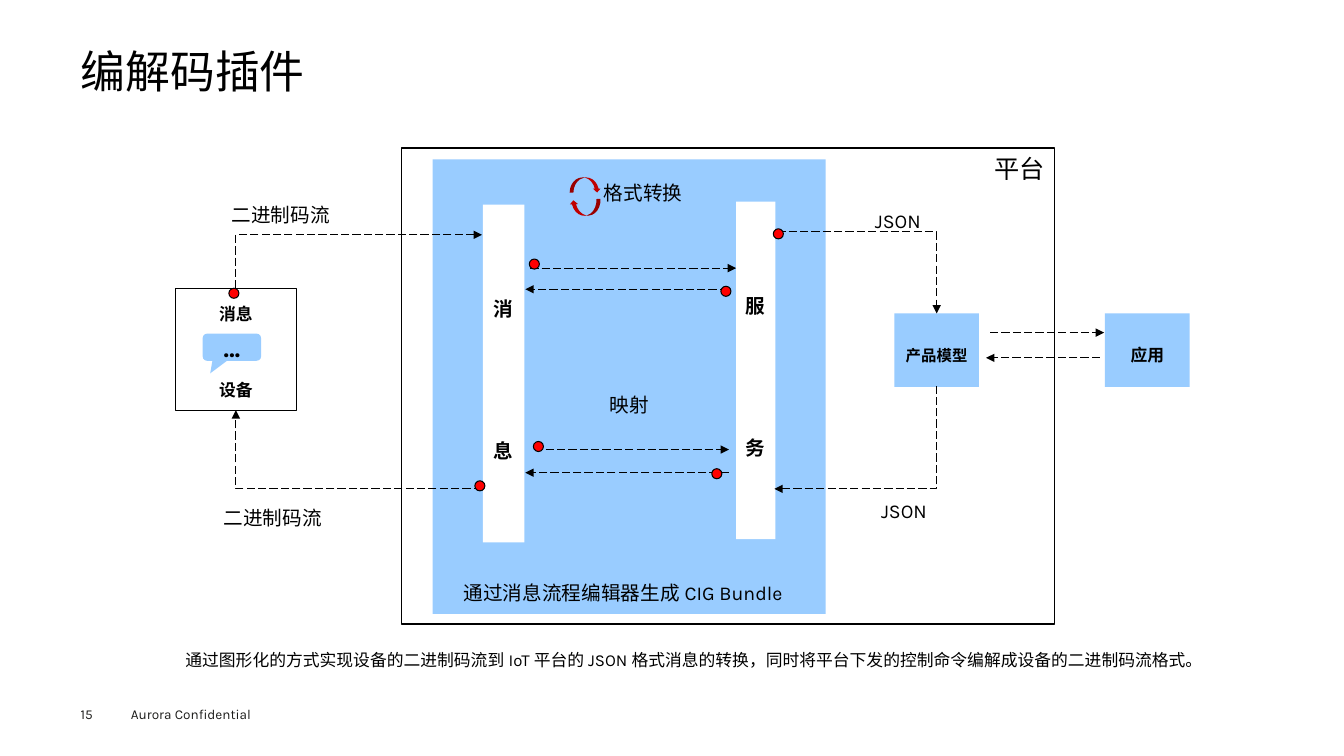
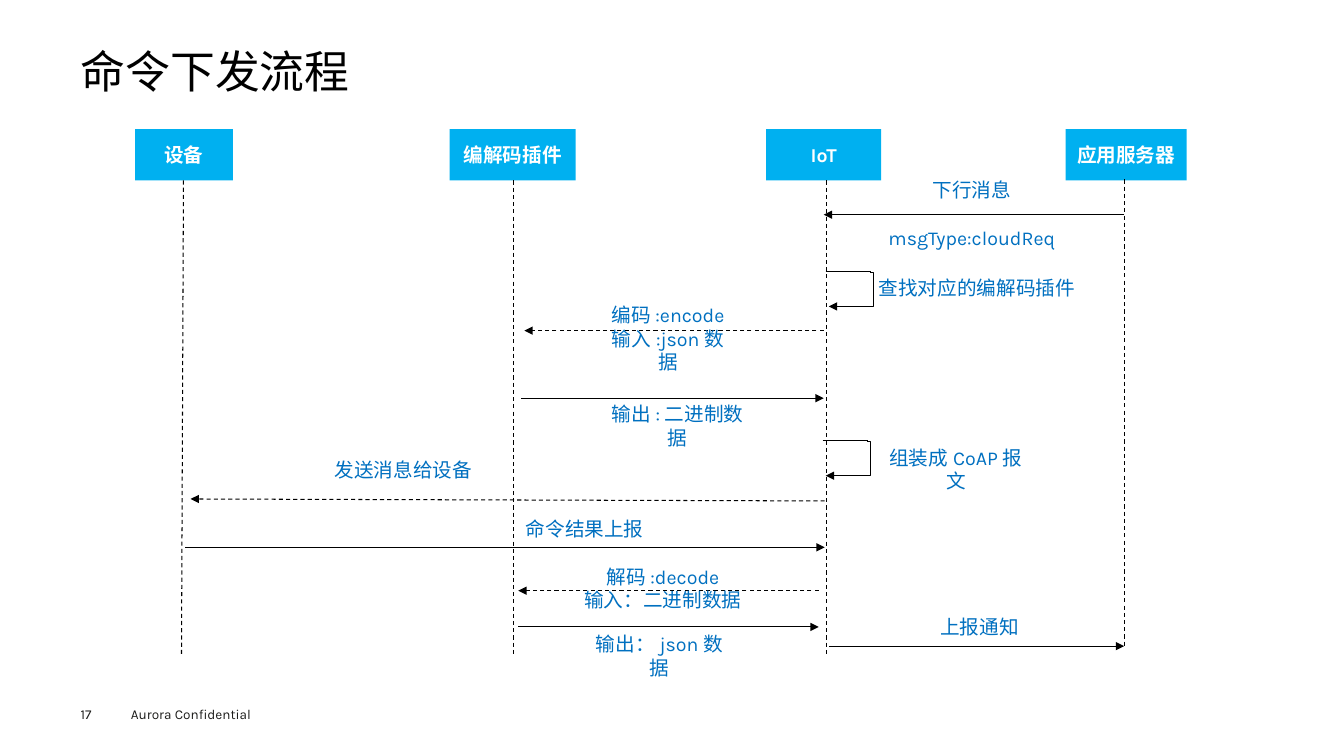
from lxml import etree
from pptx import Presentation
from pptx import util as u
from pptx.dml.color import RGBColor
from pptx.enum import dml, shapes, text
from pptx.oxml import ns

PX = 9144
BLACK = RGBColor(0x00, 0x00, 0x00)
WHITE = RGBColor(0xFF, 0xFF, 0xFF)
FOOTER_INK = RGBColor(0x1D, 0x1D, 0x1B)
PALE_BLUE = RGBColor(0x99, 0xCC, 0xFF)
SKY = RGBColor(0x00, 0xB0, 0xF0)
LABEL_BLUE = RGBColor(0x00, 0x70, 0xC0)
RED = RGBColor(0xFF, 0x00, 0x00)
DARK_RED = RGBColor(0xC0, 0x00, 0x00)

LEFT, CENTER, RIGHT = text.PP_ALIGN.LEFT, text.PP_ALIGN.CENTER, text.PP_ALIGN.RIGHT
TOP, MIDDLE = text.MSO_ANCHOR.TOP, text.MSO_ANCHOR.MIDDLE
RECT = shapes.MSO_SHAPE.RECTANGLE
DASH, LONG_DASH = dml.MSO_LINE.DASH, dml.MSO_LINE.LONG_DASH
NO_INSETS = (0, 0, 0, 0)


class Deck:
    """Holds the shared style and the slide being drawn."""

    FONT = "Karla"
    FOOTER = "Aurora Confidential"

    def __init__(self):
        self.file = Presentation()
        self.file.slide_width = 1333 * PX
        self.file.slide_height = 750 * PX
        self.slide = None

    def page(self, title, number):
        """Starts a slide with its title and footer."""
        self.slide = self.file.slides.add_slide(self.file.slide_layouts[6])
        self.label(80, 49, 1173, 54, [title], size=32, insets=NO_INSETS, spacing=0.9)
        self.label(120, 695, 200, 27, [self.FOOTER], size=9.7, color=FOOTER_INK)
        self.label(80, 700, 40, 16, [number], size=9.7, color=FOOTER_INK, insets=NO_INSETS)

    def fill_text(self, holder, lines, size=14, color=BLACK, bold=False, align=LEFT,
                  anchor=TOP, insets=(10, 5, 10, 5), gap=0, spacing=None):
        """Fills a shape or text box with one paragraph per line."""
        frame = holder.text_frame
        frame.word_wrap = True
        frame.vertical_anchor = anchor
        (frame.margin_left, frame.margin_top,
         frame.margin_right, frame.margin_bottom) = (inset * PX for inset in insets)
        for index, line in enumerate(lines):
            paragraph = frame.add_paragraph() if index else frame.paragraphs[0]
            paragraph.alignment = align
            if spacing:
                paragraph.line_spacing = spacing
            if index and gap:
                paragraph.space_before = u.Pt(gap)
            run = paragraph.add_run()
            run.text = line
            run.font.name = self.FONT
            run.font.size = u.Pt(size)
            run.font.bold = bold
            run.font.color.rgb = color

    def label(self, x, y, w, h, lines, **style):
        """Adds a text box."""
        box = self.slide.shapes.add_textbox(x * PX, y * PX, w * PX, h * PX)
        self.fill_text(box, lines, **style)

    def shape(self, x, y, w, h, fill, preset=RECT, outline=0, lines=(), **style):
        """Adds a filled preset shape, with text if given."""
        body = self.slide.shapes.add_shape(preset, x * PX, y * PX, w * PX, h * PX)
        body.shadow.inherit = False
        body.fill.solid()
        body.fill.fore_color.rgb = fill
        if outline:
            body.line.color.rgb = BLACK
            body.line.width = u.Pt(outline)
        else:
            body.line.fill.background()
        if lines:
            self.fill_text(body, lines, **style)
        return body

    def line(self, start, end, dash=None, arrow="tailEnd", kind=shapes.MSO_CONNECTOR.STRAIGHT):
        """Adds a connector; arrow names the end that has the arrowhead."""
        link = self.slide.shapes.add_connector(kind, *(v * PX for v in (*start, *end)))
        link.line.color.rgb = BLACK
        link.line.width = u.Pt(0.75)
        if dash:
            link.line.dash_style = dash
        properties = link._element.spPr
        if arrow:
            stroke = properties.find(ns.qn("a:ln"))
            etree.SubElement(stroke, ns.qn("a:" + arrow), type="triangle")
        etree.SubElement(properties, ns.qn("a:effectLst"))
        return properties.find(ns.qn("a:prstGeom"))

    def corner(self, start, end, arrow):
        """Adds a dashed connector that runs across, then up or down."""
        geometry = self.line(start, end, LONG_DASH, arrow, shapes.MSO_CONNECTOR.ELBOW)
        geometry.set("prst", "bentConnector2")

    def loop(self, x, y):
        """Adds an arrow that leaves a lifeline and comes back to it."""
        self.line((x, y), (x + 45, y), arrow=None)
        geometry = self.line((x + 44, y + 1), (x + 3, y + 35), kind=shapes.MSO_CONNECTOR.ELBOW)
        guides = geometry.find(ns.qn("a:avLst"))
        etree.SubElement(guides, ns.qn("a:gd"), name="adj1", fmla="val -9200")


def codec_slide(deck):
    """Draws the codec plug-in between device, platform and application."""
    deck.page("编解码插件", "15")
    deck.shape(398, 147, 648, 472, WHITE, outline=1, lines=["平台"], size=18, align=RIGHT)
    deck.shape(174, 286, 120, 121, WHITE, outline=0.75, lines=["消息", "设备"], size=12,
               bold=True, align=CENTER, insets=(0, 15, 0, 0), gap=40)
    bubble = deck.shape(201, 331, 58, 27, PALE_BLUE,
                        shapes.MSO_SHAPE.ROUNDED_RECTANGULAR_CALLOUT, lines=["…"], size=18,
                        bold=True, align=CENTER, anchor=MIDDLE)
    bubble.adjustments[0], bubble.adjustments[1] = -0.37, 0.96

    deck.shape(429, 158, 390, 451, PALE_BLUE)
    deck.label(589, 175, 140, 33, ["格式转换"])
    deck.label(564, 385, 120, 33, ["映射"], align=CENTER)
    deck.label(450, 571, 360, 33, ["通过消息流程编辑器生成CIG Bundle"])
    for y, h, turn in ((176, 15, 0), (198, 16, 177)):
        cycle = deck.shape(565, y, 31, h, DARK_RED, shapes.MSO_SHAPE.CURVED_DOWN_ARROW)
        cycle.rotation = turn
    for x, y, w, word in ((479, 203, 41, "消息"), (730, 200, 39, "服务")):
        deck.shape(x, y, w, 335, WHITE, lines=list(word), bold=True, align=CENTER,
                   insets=(0, 92, 0, 0), gap=84)
    for x, name, size in ((887, "产品模型", 11), (1096, "应用", 12)):
        deck.shape(x, 311, 84, 73, PALE_BLUE, lines=[name], size=size, bold=True,
                   align=CENTER, anchor=MIDDLE, insets=NO_INSETS, spacing=1.5)

    for x_from, x_to, y in ((526, 730, 266), (722, 521, 287), (530, 723, 446),
                            (723, 521, 469), (982, 1095, 330), (1091, 978, 355)):
        deck.line((x_from, y), (x_to, y), LONG_DASH)
    deck.corner((478, 485), (234, 407), "tailEnd")
    deck.corner((478, 233), (234, 286), "headEnd")
    deck.corner((771, 230), (929, 311), "tailEnd")
    deck.corner((768, 485), (929, 383), "headEnd")

    for x, y, stream in ((220, 196, "二进制码流"), (212, 497, "二进制码流"),
                         (858, 202, "JSON"), (864, 490, "JSON")):
        deck.label(x, y, 130, 35, [stream])
    deck.label(174, 640, 1045, 27, [
        "通过图形化的方式实现设备的二进制码流到IoT平台的JSON格式消息的转换，"
        "同时将平台下发的控制命令编解成设备的二进制码流格式。"], size=12)
    for x, y in ((227, 286), (525, 257), (715, 284), (767, 227),
                 (529, 438), (706, 465), (471, 477)):
        deck.shape(x, y, 10, 10, RED, shapes.MSO_SHAPE.OVAL, outline=0.75)


def command_slide(deck):
    """Draws the sequence of a command sent to a device."""
    deck.page("命令下发流程", "17")
    for x, w, actor, top, foot in (
            (134, 97, "设备", (182, 179), (180, 650)),
            (446, 125, "编解码插件", (509, 179), (509, 650)),
            (760, 114, "IoT", (820, 179), (820, 650)),
            (1057, 120, "应用服务器", (1115, 178), (1115, 641))):
        deck.shape(x, 128, w, 51, SKY, lines=[actor], color=WHITE, bold=True,
                   align=CENTER, anchor=MIDDLE, insets=NO_INSETS)
        deck.line(top, foot, DASH, arrow=None)

    for start, end, dash in (
            ((1115, 213), (817, 213), None),
            ((817, 328), (520, 328), DASH),
            ((517, 395), (817, 395), None),
            ((818, 497), (189, 495), DASH),
            ((184, 543), (818, 543), None),
            ((812, 586), (514, 586), DASH),
            ((514, 622), (812, 622), None),
            ((822, 641), (1115, 641), None)):
        deck.line(start, end, dash)
    deck.loop(819, 269)
    deck.loop(816, 437)

    for x, y, w, h, message, gap in (
            (852, 172, 224, 82, ["下行消息", "msgType:cloudReq"], 17),
            (860, 269, 218, 35, ["查找对应的编解码插件"], 0),
            (592, 296, 141, 58, ["编码:encode", "输入:json数据"], 0),
            (590, 394, 164, 35, ["输出:二进制数据"], 0),
            (864, 437, 168, 35, ["组装成CoAP报文"], 0),
            (320, 449, 160, 35, ["发送消息给设备"], 0),
            (510, 508, 140, 35, ["命令结果上报"], 0),
            (568, 555, 179, 58, ["解码:decode", "输入：二进制数据"], 0),
            (573, 622, 162, 35, ["输出：json数据"], 0),
            (921, 605, 101, 35, ["上报通知"], 0)):
        deck.label(x, y, w, h, message, color=LABEL_BLUE, align=CENTER,
                   insets=(11, 5, 11, 5), gap=gap)


def main():
    """Builds both slides and saves the file."""
    deck = Deck()
    codec_slide(deck)
    command_slide(deck)
    deck.file.save("out.pptx")


if __name__ == "__main__":
    main()
